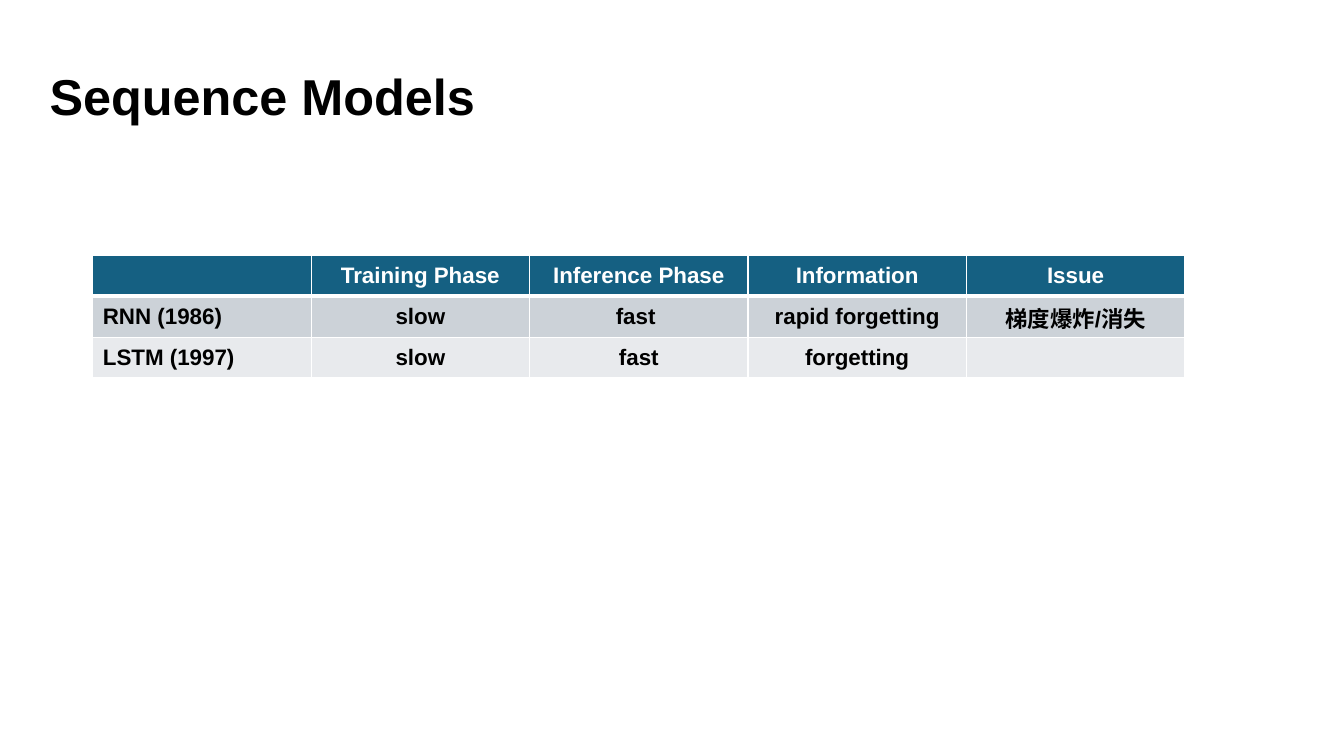
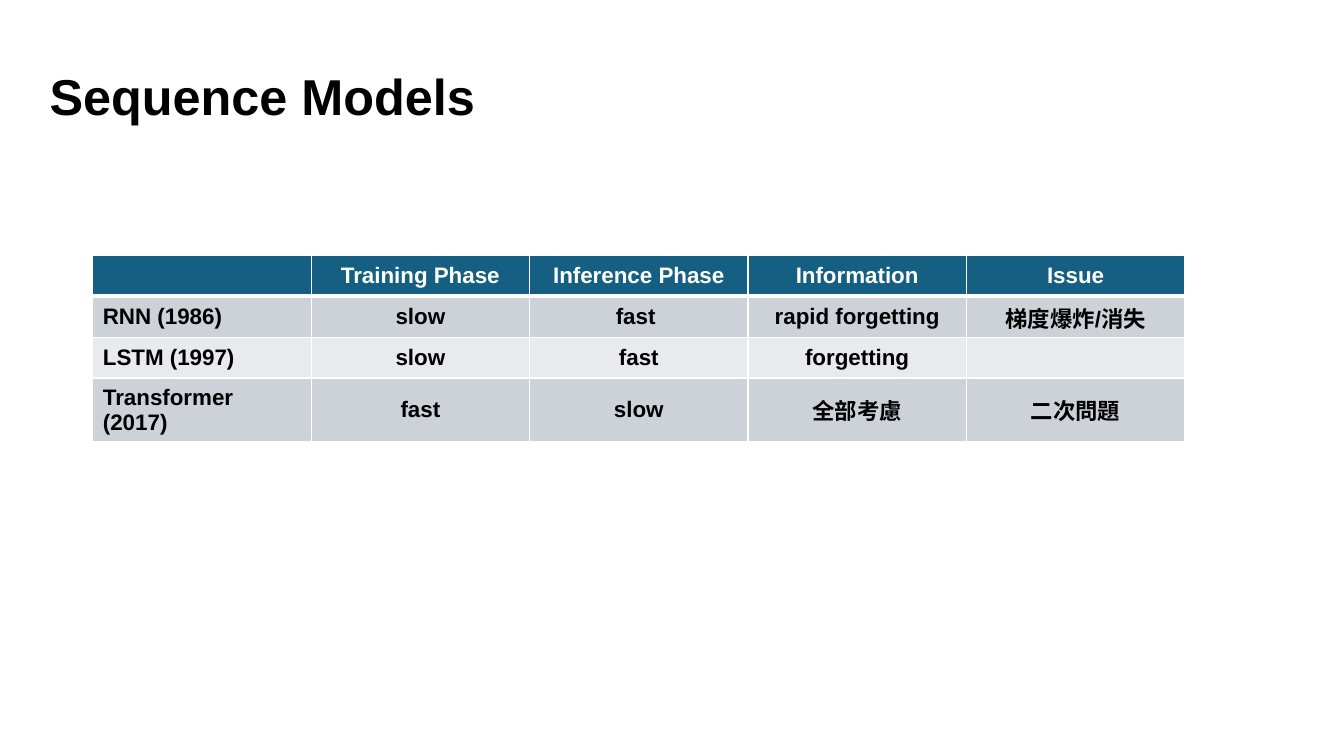
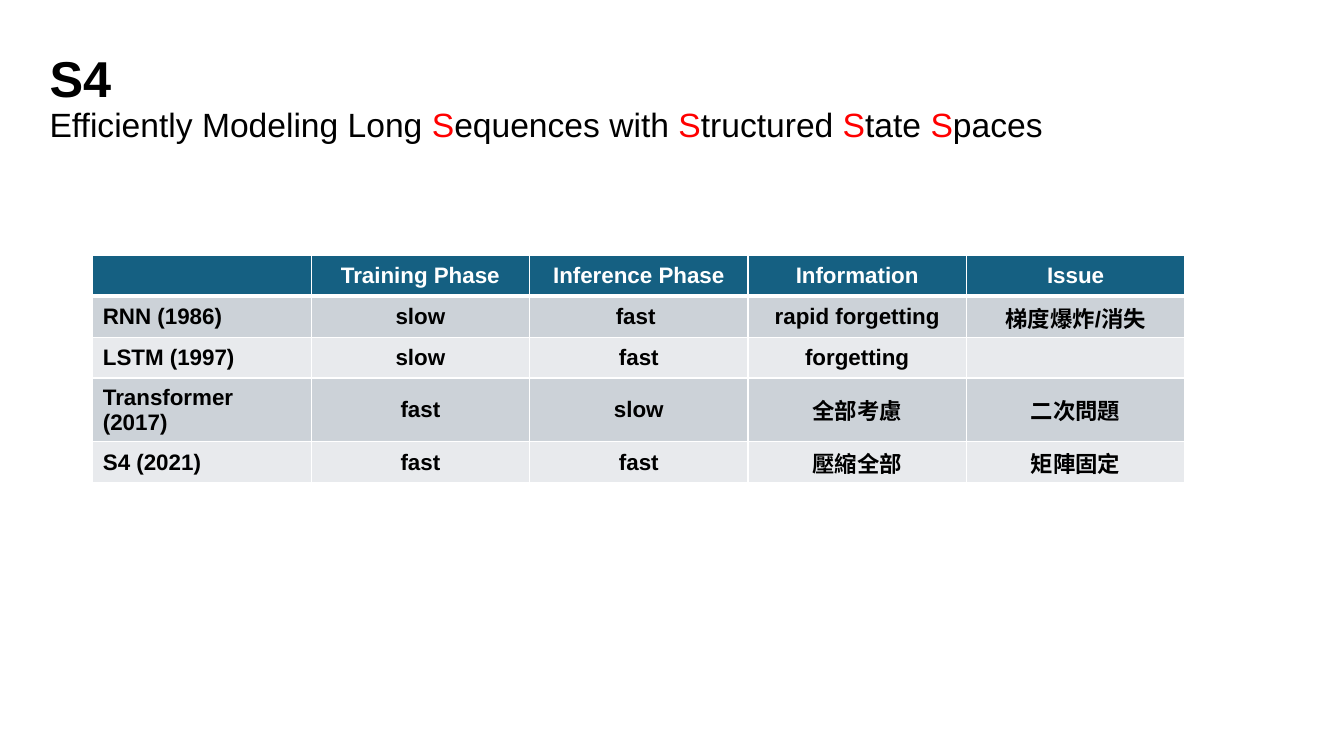
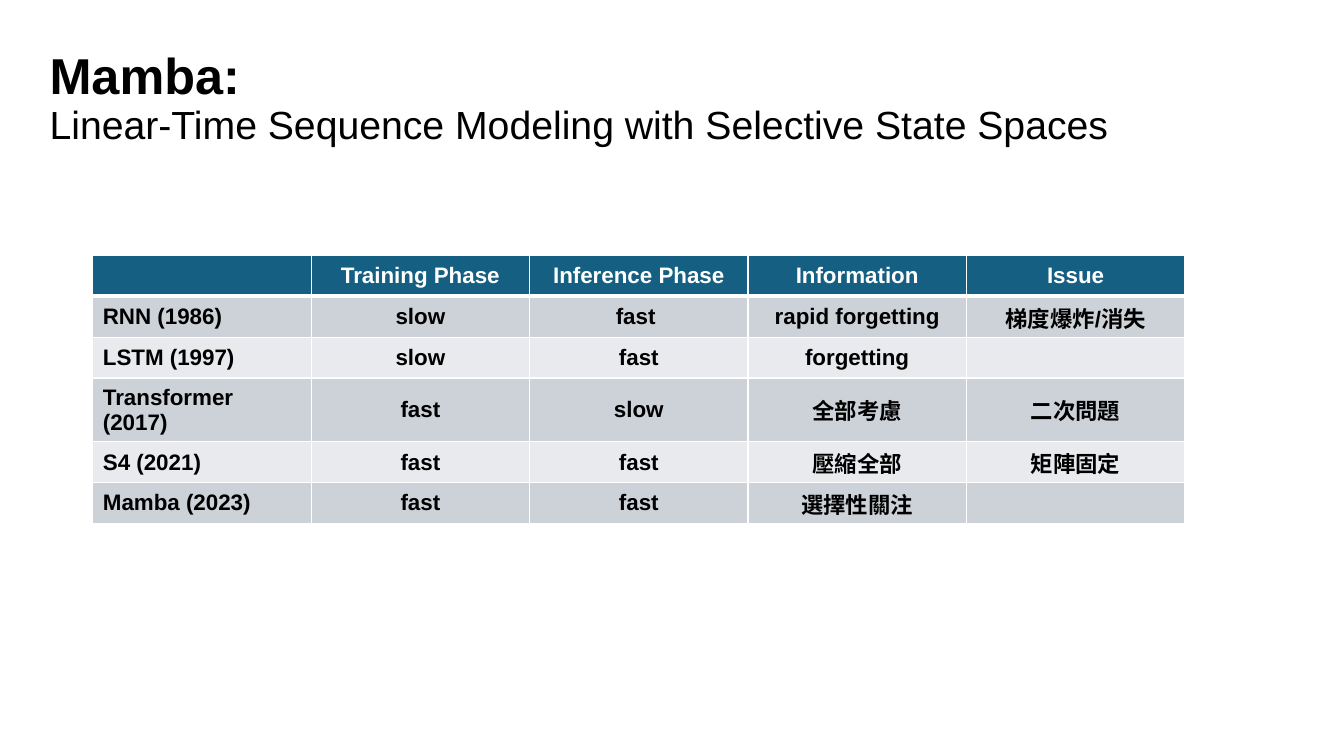
"""Build four slides that compare sequence models in a growing table."""
from lxml import etree
from pptx import Presentation
from pptx.dml.color import RGBColor
from pptx.enum.text import MSO_ANCHOR, PP_ALIGN
from pptx.oxml.ns import qn
from pptx.util import Pt

MIDDLE = MSO_ANCHOR.MIDDLE
LEFT, CENTER = PP_ALIGN.LEFT, PP_ALIGN.CENTER

FONT = "Arial"
COLORS = {
    "text": "000000",
    "accent": "FF0000",
    "white": "FFFFFF",
    "header": "156082",
    "odd": "CCD2D8",
    "even": "E8EAED",
}

HEADER = ["", "Training Phase", "Inference Phase", "Information", "Issue"]
MODELS = [
    ["RNN (1986)", "slow", "fast ", "rapid forgetting", "梯度爆炸/消失"],
    ["LSTM (1997)", "slow", "fast", "forgetting", ""],
    ["Transformer (2017)", "fast", "slow", "全部考慮", "二次問題"],
    ["S4 (2021)", "fast", "fast", "壓縮全部", "矩陣固定"],
    ["Mamba (2023)", "fast", "fast", "選擇性關注", ""],
]

S4_SUBTITLE = [
    ("Efficiently Modeling Long ", "text"),
    ("S", "accent"), ("equences with ", "text"),
    ("S", "accent"), ("tructured ", "text"),
    ("S", "accent"), ("tate ", "text"),
    ("S", "accent"), ("paces", "text"),
]
MAMBA_SUBTITLE = [
    ("Linear-Time Sequence Modeling with Selective State Spaces", "text"),
]

SLIDES = [
    {"title": "Sequence Models", "models": 2},
    {"title": "Sequence Models", "models": 3},
    {"title": "S4", "subtitle": S4_SUBTITLE, "size": 24, "models": 4},
    {"title": "Mamba:", "subtitle": MAMBA_SUBTITLE, "size": 28, "models": 5},
]

SLIDE_W, SLIDE_H = 960, 540
TITLE_BOX = (28.35, 28.35, 850, 85)
TITLE_SIZE = 36
TABLE_X, TABLE_Y = 66.3, 182.4
COL_W, ROW_H = 156, 29.2
CELL_SIZE = 16
THIN, THICK = 1, 3


def color(key):
    return RGBColor.from_string(COLORS[key])


def style(font, size, key, bold):
    font.name = FONT
    font.size = Pt(size)
    font.bold = bold
    font.color.rgb = color(key)


def add_title(s, title, subtitle=(), size=None):
    tf = s.shapes.add_textbox(*map(Pt, TITLE_BOX)).text_frame
    tf.word_wrap = True
    tf.vertical_anchor = MIDDLE
    p = tf.paragraphs[0]
    p.line_spacing = 0.9
    r = p.add_run()
    r.text = title
    style(r.font, TITLE_SIZE, "text", True)
    if subtitle:
        p.add_line_break()
    for text, key in subtitle:
        r = p.add_run()
        r.text = text
        style(r.font, size, key, False)


def add_borders(cell, top, bottom):
    tc_pr = cell._tc.get_or_add_tcPr()
    widths = {"a:lnL": THIN, "a:lnR": THIN, "a:lnT": top, "a:lnB": bottom}
    for tag, width in widths.items():
        ln = etree.SubElement(tc_pr, qn(tag), w=str(Pt(width)))
        fill = etree.SubElement(ln, qn("a:solidFill"))
        etree.SubElement(fill, qn("a:srgbClr"), val=COLORS["white"])


def add_model_table(s, count):
    rows = [HEADER] + MODELS[:count]
    cols = len(HEADER)
    table = s.shapes.add_table(
        len(rows), cols, Pt(TABLE_X), Pt(TABLE_Y),
        Pt(COL_W * cols), Pt(ROW_H * len(rows))).table
    for col in table.columns:
        col.width = Pt(COL_W)
    for i, row in enumerate(rows):
        table.rows[i].height = Pt(ROW_H)
        fill = "header" if i == 0 else ("odd" if i % 2 else "even")
        for j, text in enumerate(row):
            cell = table.cell(i, j)
            add_borders(cell, THICK if i == 1 else THIN,
                        THICK if i == 0 else THIN)
            cell.fill.solid()
            cell.fill.fore_color.rgb = color(fill)
            cell.vertical_anchor = MIDDLE
            cell.text = text
            p = cell.text_frame.paragraphs[0]
            p.alignment = CENTER if j else LEFT
            style(p.font, CELL_SIZE, "text" if i else "white", True)


def main():
    prs = Presentation()
    prs.slide_width, prs.slide_height = Pt(SLIDE_W), Pt(SLIDE_H)
    for item in SLIDES:
        s = prs.slides.add_slide(prs.slide_layouts[6])
        add_title(s, item["title"], item.get("subtitle", ()), item.get("size"))
        add_model_table(s, item["models"])
    prs.save("out.pptx")


if __name__ == "__main__":
    main()
